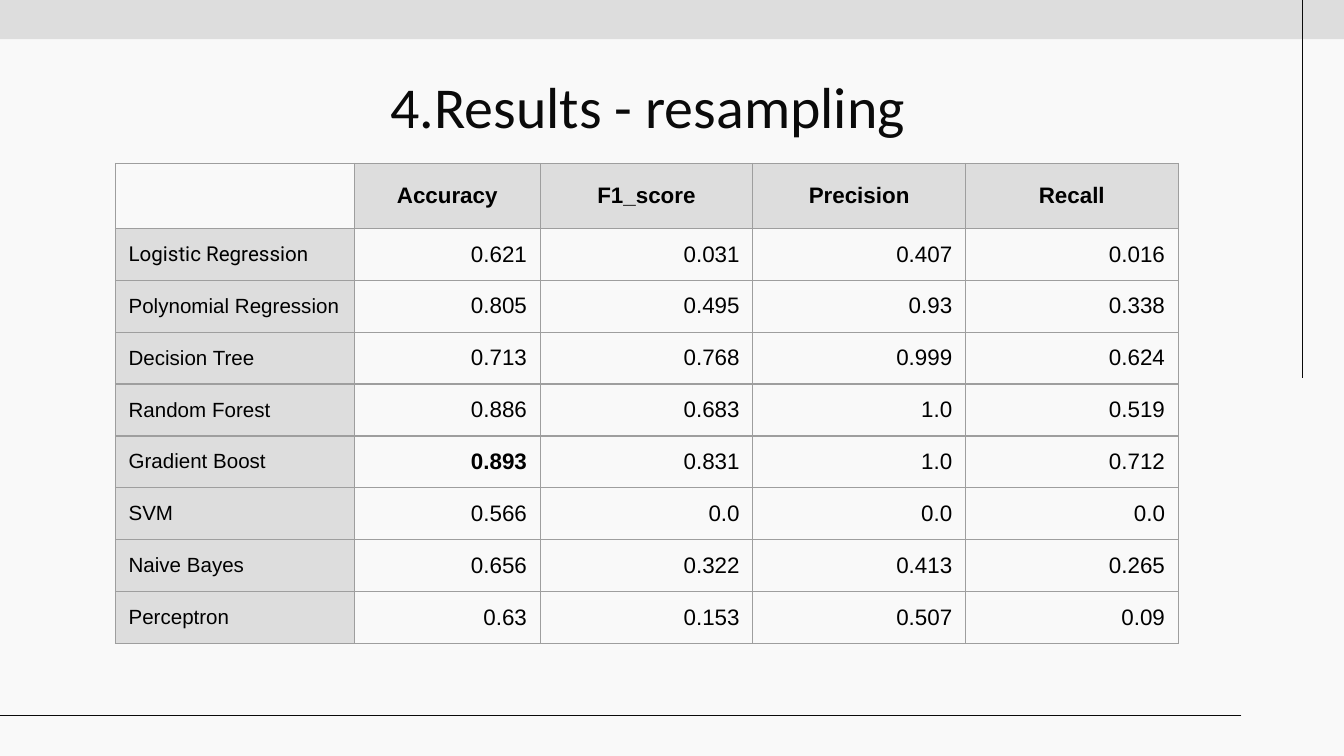
from dataclasses import dataclass

from lxml import etree
from pptx import Presentation
from pptx.dml.color import RGBColor
from pptx.enum.shapes import MSO_CONNECTOR, MSO_SHAPE
from pptx.enum.text import MSO_ANCHOR, MSO_AUTO_SIZE, PP_ALIGN
from pptx.oxml.ns import qn
from pptx.util import Cm, Pt


@dataclass(frozen=True)
class Theme:
    background: RGBColor = RGBColor(0xF9, 0xF9, 0xF9)
    band: RGBColor = RGBColor(0xDD, 0xDD, 0xDD)
    ink: RGBColor = RGBColor(0x0A, 0x0A, 0x0A)
    table_text: RGBColor = RGBColor(0, 0, 0)
    border: str = "9E9E9E"
    line_width: Pt = Pt(0.75)
    title_size: Pt = Pt(31)
    label_size: Pt = Pt(11)
    value_size: Pt = Pt(12)


theme = Theme()

METRICS = ["Accuracy", "F1_score", "Precision", "Recall"]
RESULTS = [
    ("Logistic Regression", "0.621", "0.031", "0.407", "0.016"),
    ("Polynomial Regression", "0.805", "0.495", "0.93", "0.338"),
    ("Decision Tree", "0.713", "0.768", "0.999", "0.624"),
    ("Random Forest", "0.886", "0.683", "1.0", "0.519"),
    ("Gradient Boost", "0.893", "0.831", "1.0", "0.712"),
    ("SVM", "0.566", "0.0", "0.0", "0.0"),
    ("Naive Bayes", "0.656", "0.322", "0.413", "0.265"),
    ("Perceptron", "0.63", "0.153", "0.507", "0.09"),
]
BEST_ACCURACY = max(RESULTS, key=lambda result: float(result[1]))[1]
COLUMN_WIDTHS = [Cm(4.52), Cm(3.51), Cm(4.02), Cm(4.02), Cm(4.02)]
HEADER_HEIGHT, ROW_HEIGHT = Cm(1.23), Cm(0.98)


def add_cell_borders(cell):
    properties = cell._tc.get_or_add_tcPr()
    for position, side in enumerate(("a:lnL", "a:lnR", "a:lnT", "a:lnB")):
        line = etree.Element(qn(side), w=str(theme.line_width))
        fill = etree.SubElement(line, qn("a:solidFill"))
        etree.SubElement(fill, qn("a:srgbClr"), val=theme.border)
        properties.insert(position, line)


presentation = Presentation()
presentation.slide_width = Cm(25.4)
presentation.slide_height = Cm(14.29)
slide = presentation.slides.add_slide(presentation.slide_layouts[5])
slide.background.fill.solid()
slide.background.fill.fore_color.rgb = theme.background

# Top band and thin frame lines
band = slide.shapes.add_shape(MSO_SHAPE.RECTANGLE, 0, 0, presentation.slide_width, Cm(0.74))
band.shadow.inherit = False
band.fill.solid()
band.fill.fore_color.rgb = theme.band
band.line.fill.background()

for ends in [
    (Cm(24.61), 0, Cm(24.61), Cm(7.14)),
    (Cm(23.46), Cm(13.53), 0, Cm(13.53)),
]:
    connector = slide.shapes.add_connector(MSO_CONNECTOR.STRAIGHT, *ends)
    connector.line.color.rgb = theme.ink
    connector.line.width = theme.line_width
    etree.SubElement(connector._element.spPr, qn("a:effectLst"))

# Title
title = slide.shapes.title
title.left, title.top, title.width, title.height = Cm(2.18), Cm(1.09), Cm(20.12), Cm(1.52)
frame = title.text_frame
frame.text = "4.Results - resampling"
frame.word_wrap = True
frame.auto_size = MSO_AUTO_SIZE.NONE
frame.vertical_anchor = MSO_ANCHOR.TOP
frame.margin_left = frame.margin_right = frame.margin_top = frame.margin_bottom = Cm(0.25)
paragraph = frame.paragraphs[0]
paragraph.alignment = PP_ALIGN.CENTER
font = paragraph.runs[0].font
font.name, font.size, font.color.rgb = "Calibri", theme.title_size, theme.ink

# Results table
rows = [("", *METRICS), *RESULTS]
table = slide.shapes.add_table(
    len(rows), len(COLUMN_WIDTHS), Cm(2.18), Cm(3.09),
    sum(COLUMN_WIDTHS), HEADER_HEIGHT + ROW_HEIGHT * len(RESULTS),
).table
table.horz_banding = False
for column, width in zip(table.columns, COLUMN_WIDTHS):
    column.width = width

for row_index, values in enumerate(rows):
    is_header = row_index == 0
    table.rows[row_index].height = HEADER_HEIGHT if is_header else ROW_HEIGHT
    for column_index, value in enumerate(values):
        is_label = column_index == 0
        cell = table.cell(row_index, column_index)
        cell.margin_left = cell.margin_right = cell.margin_top = cell.margin_bottom = Cm(0.25)
        cell.vertical_anchor = MSO_ANCHOR.MIDDLE if is_header or is_label else MSO_ANCHOR.TOP
        if is_header != is_label:
            cell.fill.solid()
            cell.fill.fore_color.rgb = theme.band
        else:
            cell.fill.background()
        add_cell_borders(cell)

        cell.text_frame.text = value
        paragraph = cell.text_frame.paragraphs[0]
        if is_header:
            paragraph.alignment = PP_ALIGN.CENTER
        else:
            paragraph.alignment = PP_ALIGN.LEFT if is_label else PP_ALIGN.RIGHT
        font = paragraph.font
        font.name = "Roboto" if value == "Logistic Regression" else "Arial"
        font.size = theme.label_size if is_label else theme.value_size
        font.bold = is_header or (column_index == 1 and value == BEST_ACCURACY)
        font.color.rgb = theme.table_text

presentation.save("out.pptx")
